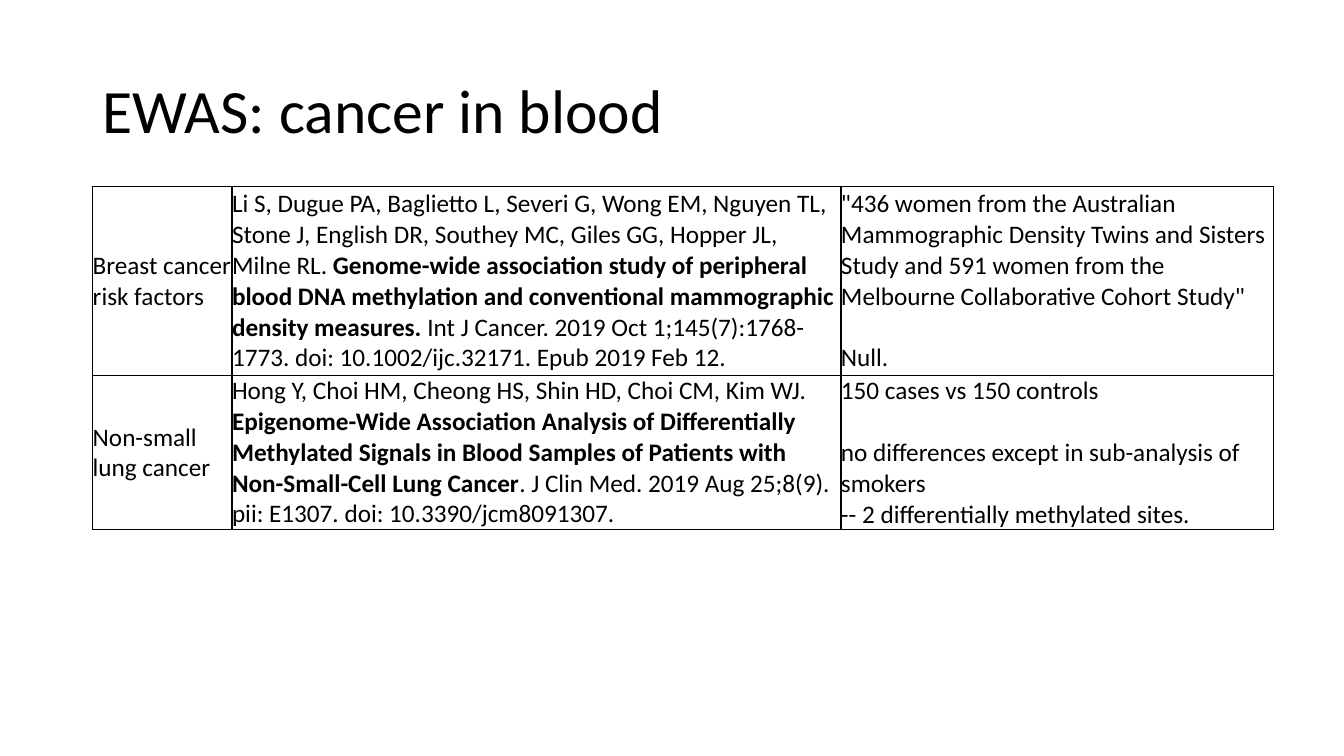
from dataclasses import dataclass
from lxml.etree import SubElement
from pptx import Presentation
from pptx.dml.color import RGBColor as RGB
from pptx.enum.text import MSO_ANCHOR as Anchor, PP_ALIGN as Align
from pptx.oxml.ns import qn
from pptx.util import Pt


@dataclass(frozen=True)
class Theme:
    font: str = "Calibri"
    ink: str = "000000"
    head: float = 44
    body: float = 18
    gap: float = 22
    rule: float = 1


theme = Theme()
title = "EWAS: cancer in blood"
studies = [
    (
        [["Breast cancer risk factors"]],
        [["Li S, Dugue PA, Baglietto L, Severi G, Wong EM, Nguyen TL, Stone J, "
          "English DR, Southey MC, Giles GG, Hopper JL, Milne RL. ",
          "Genome-wide association study of peripheral blood DNA methylation "
          "and conventional mammographic density measures. ",
          "Int J Cancer. 2019 Oct 1;145(7):1768-1773. "
          "doi: 10.1002/ijc.32171. Epub 2019 Feb 12."]],
        [['"436 women from the Australian Mammographic Density Twins and Sisters '
          'Study and 591 women from the Melbourne Collaborative Cohort Study" '],
         ["Null."]],
    ),
    (
        [["Non-small lung cancer"]],
        [["Hong Y, Choi HM, Cheong HS, Shin HD, Choi CM, Kim WJ. ",
          "Epigenome-Wide Association Analysis of Differentially Methylated "
          "Signals in Blood Samples of Patients with Non-Small-Cell Lung Cancer",
          ". J Clin Med. 2019 Aug 25;8(9). pii: E1307. doi: 10.3390/jcm8091307."]],
        [["150 cases vs 150 controls"],
         ["no differences except in sub-analysis of smokers "],
         ["-- 2 differentially methylated sites."]],
    ),
]
left, top = 66.25, 133.25
widths = [99.5, 435, 309]
heights = [135.25, 105]


def style(para, size):
    para.font.name = theme.font
    para.font.size = Pt(size)
    para.font.color.rgb = RGB.from_string(theme.ink)
    para.alignment = Align.LEFT


def border(cell):
    props = cell._tc.get_or_add_tcPr()
    for spot, side in enumerate(("lnL", "lnR", "lnT", "lnB")):
        line = SubElement(props, qn(f"a:{side}"), w=str(Pt(theme.rule)))
        fill = SubElement(line, qn("a:solidFill"))
        SubElement(fill, qn("a:srgbClr"), val=theme.ink)
        props.insert(spot, line)


def write(cell, paras):
    cell.fill.background()
    border(cell)
    cell.margin_left = cell.margin_right = cell.margin_top = cell.margin_bottom = 0
    cell.vertical_anchor = Anchor.MIDDLE
    frame = cell.text_frame
    for order, parts in enumerate(paras):
        para = frame.add_paragraph() if order else frame.paragraphs[0]
        style(para, theme.body)
        if order == 1:
            para.space_before = Pt(theme.gap)
        for place, text in enumerate(parts):
            run = para.add_run()
            run.text = text
            run.font.bold = place == 1


deck = Presentation()
deck.slide_width, deck.slide_height = Pt(960), Pt(540)
slide = deck.slides.add_slide(deck.slide_layouts[5])

head = slide.shapes.title
head.left, head.top, head.width, head.height = map(Pt, (left, 28.75, 828, 104.5))
head.text_frame.text = title
head.text_frame.vertical_anchor = Anchor.MIDDLE
head.text_frame.paragraphs[0].line_spacing = 0.9
style(head.text_frame.paragraphs[0], theme.head)

grid = slide.shapes.add_table(
    len(studies), len(widths), Pt(left), Pt(top), Pt(sum(widths)), Pt(sum(heights))
).table
grid.first_row = grid.horz_banding = False
for col, width in zip(grid.columns, widths):
    col.width = Pt(width)
for row, height, study in zip(grid.rows, heights, studies):
    row.height = Pt(height)
    for cell, paras in zip(row.cells, study):
        write(cell, paras)

deck.save("out.pptx")
